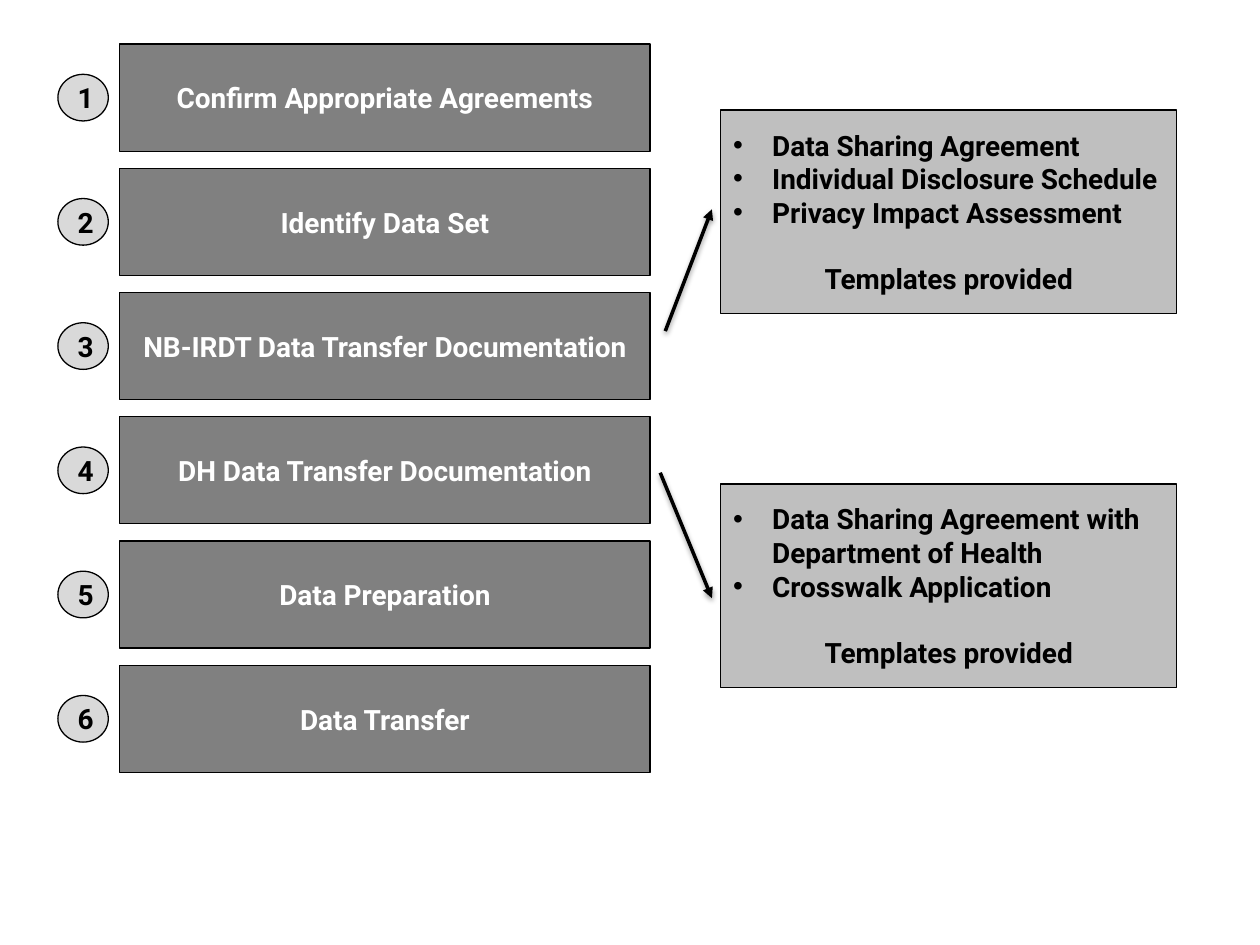
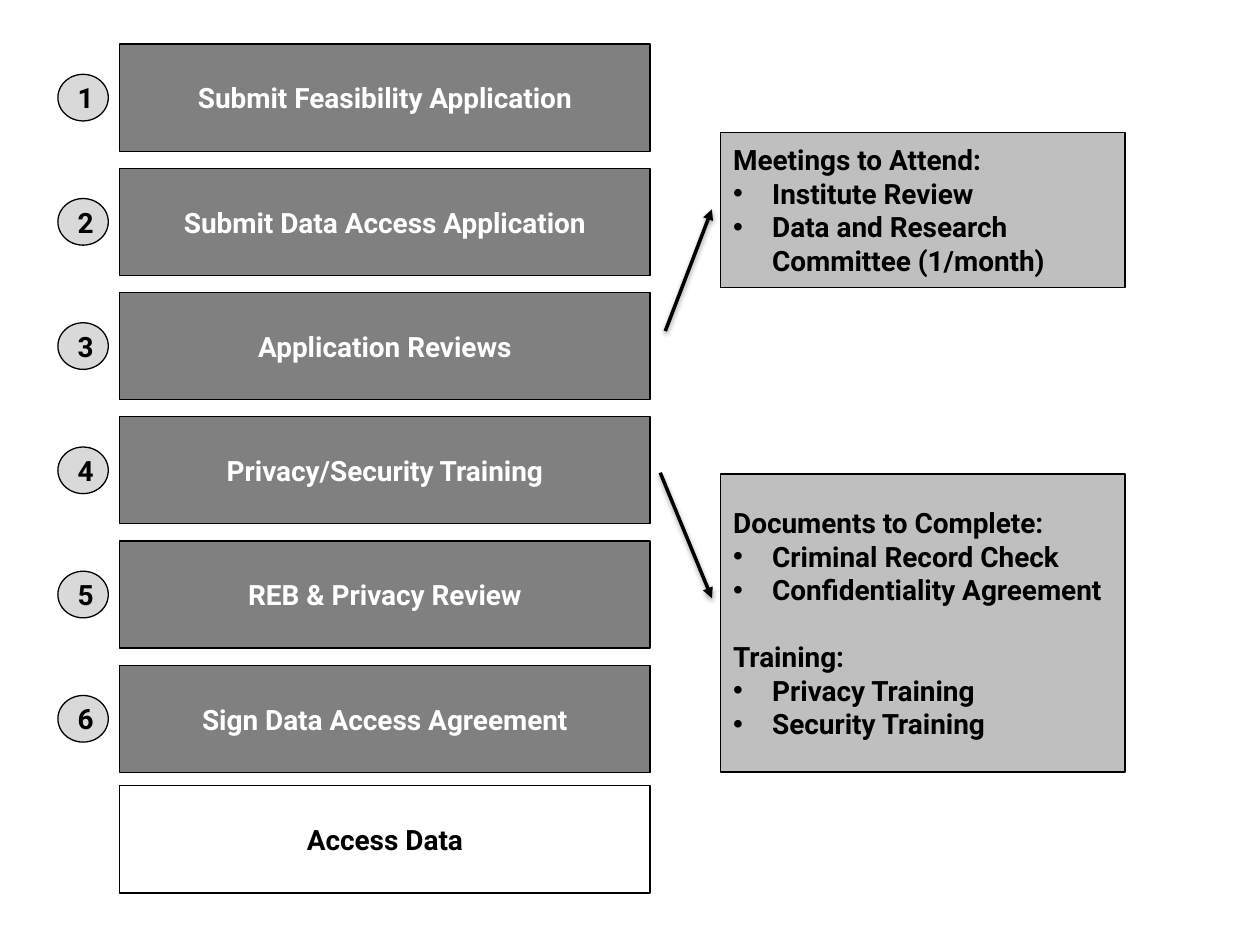
from dataclasses import dataclass

from lxml import etree
from pptx import Presentation
from pptx.dml.color import RGBColor
from pptx.enum.shapes import MSO_CONNECTOR, MSO_SHAPE
from pptx.enum.text import MSO_ANCHOR, PP_ALIGN
from pptx.oxml.ns import qn
from pptx.util import Inches, Pt

RECTANGLE, OVAL = MSO_SHAPE.RECTANGLE, MSO_SHAPE.OVAL
STRAIGHT = MSO_CONNECTOR.STRAIGHT
LEFT, CENTER = PP_ALIGN.LEFT, PP_ALIGN.CENTER
MIDDLE = MSO_ANCHOR.MIDDLE


@dataclass(frozen=True)
class Theme:
    font: str = "Roboto"
    size: int = 16
    ink: str = "000000"
    paper: str = "FFFFFF"
    step: str = "808080"
    note: str = "BFBFBF"
    badge: str = "D9D9D9"
    outline: float = 0.75
    arrow: float = 2
    blank_line: int = 19


@dataclass(frozen=True)
class Grid:
    """Columns in inches; rows are one process step apart."""
    top: float = 0.35
    pitch: float = (5.28 - 0.35) / 5
    step_height: float = 0.85
    step_left: float = 0.95
    step_width: float = 4.21
    badge_left: float = 0.46
    badge_width: float = 0.4
    badge_height: float = 0.37
    note_left: float = 5.72

    def y(self, row):
        return self.top + row * self.pitch


THEME, GRID = Theme(), Grid()
BULLET_INDENT = Inches(0.31)

# Arrows from steps 3 and 4 to their notes: (x, row) to (x, row)
ARROWS = [((5.28, 2.31), (5.65, 1.33)), ((5.24, 3.45), (5.65, 4.46))]
FINAL_ROW = 5.97

# Note lines are (style, text); a "gap" style leaves a line free above
BULLET, HEADING, GAP_HEADING, GAP_CENTER = "bullet", "heading", "gap heading", "gap center"

TRANSFER_STEPS = [
    "Confirm Appropriate Agreements",
    "Identify Data Set",
    "NB-IRDT Data Transfer Documentation",
    "DH Data Transfer Documentation",
    "Data Preparation",
    "Data Transfer",
]
AGREEMENTS = [
    (BULLET, "Data Sharing Agreement"),
    (BULLET, "Individual Disclosure Schedule"),
    (BULLET, "Privacy Impact Assessment"),
    (GAP_CENTER, "Templates provided"),
]
HEALTH_DOCUMENTS = [
    (BULLET, "Data Sharing Agreement with Department of Health"),
    (BULLET, "Crosswalk Application"),
    (GAP_CENTER, "Templates provided"),
]

ACCESS_STEPS = [
    "Submit Feasibility Application",
    "Submit Data Access Application",
    "Application Reviews",
    "Privacy/Security Training",
    "REB & Privacy Review",
    "Sign Data Access Agreement",
]
MEETINGS = [
    (HEADING, "Meetings to Attend:"),
    (BULLET, "Institute Review"),
    (BULLET, "Data and Research Committee (1/month)"),
]
TRAINING = [
    (HEADING, "Documents to Complete:"),
    (BULLET, "Criminal Record Check"),
    (BULLET, "Confidentiality Agreement"),
    (GAP_HEADING, "Training:"),
    (BULLET, "Privacy Training"),
    (BULLET, "Security Training"),
]


def rgb(value):
    return RGBColor.from_string(value)


def write(paragraph, text, color, align=CENTER):
    paragraph.text = text
    paragraph.alignment = align
    font = paragraph.font
    font.name, font.size, font.bold = THEME.font, Pt(THEME.size), True
    font.color.rgb = rgb(color)


def add_box(slide, kind, left, top, width, height, fill):
    box = slide.shapes.add_shape(kind, *map(Inches, (left, top, width, height)))
    box.shadow.inherit = False
    box.fill.solid()
    box.fill.fore_color.rgb = rgb(fill)
    box.line.color.rgb = rgb(THEME.ink)
    box.line.width = Pt(THEME.outline)
    box.text_frame.word_wrap = True
    box.text_frame.vertical_anchor = MIDDLE
    return box


def add_step(slide, row, label, fill=THEME.step, color=THEME.paper):
    step = add_box(slide, RECTANGLE, GRID.step_left, GRID.y(row),
                   GRID.step_width, GRID.step_height, fill)
    write(step.text_frame.paragraphs[0], label, color)


def add_badge(slide, row):
    top = GRID.y(row) + (GRID.step_height - GRID.badge_height) / 2
    badge = add_box(slide, OVAL, GRID.badge_left, top,
                    GRID.badge_width, GRID.badge_height, THEME.badge)
    write(badge.text_frame.paragraphs[0], str(row + 1), THEME.ink)


def make_bullet(paragraph):
    properties = paragraph._p.get_or_add_pPr()
    properties.set("marL", str(BULLET_INDENT))
    properties.set("indent", str(-BULLET_INDENT))
    etree.SubElement(properties, qn("a:buFont"), typeface="Arial")
    etree.SubElement(properties, qn("a:buChar"), char="•")
    # Default run properties come after the bullet in the schema
    defaults = properties.find(qn("a:defRPr"))
    if defaults is not None:
        properties.append(defaults)


def add_note(slide, row, rows, width, lines):
    note = add_box(slide, RECTANGLE, GRID.note_left, GRID.y(row),
                   width, rows * GRID.pitch, THEME.note)
    frame = note.text_frame
    for index, (style, text) in enumerate(lines):
        paragraph = frame.add_paragraph() if index else frame.paragraphs[0]
        write(paragraph, text, THEME.ink, CENTER if style == GAP_CENTER else LEFT)
        if style in (GAP_HEADING, GAP_CENTER):
            paragraph.space_before = Pt(THEME.blank_line)
        if style == BULLET:
            make_bullet(paragraph)


def add_arrow(slide, start, end):
    (x1, row1), (x2, row2) = start, end
    arrow = slide.shapes.add_connector(
        STRAIGHT, *map(Inches, (x1, GRID.y(row1), x2, GRID.y(row2))))
    arrow.line.color.rgb = rgb(THEME.ink)
    arrow.line.width = Pt(THEME.arrow)
    etree.SubElement(arrow.line._get_or_add_ln(), qn("a:tailEnd"), type="triangle")
    # Soft shadow straight below the line
    effects = etree.SubElement(arrow._element.spPr, qn("a:effectLst"))
    shadow = etree.SubElement(effects, qn("a:outerShdw"), blurRad=str(Pt(3.1)),
                              dist=str(Pt(1.6)), dir="5400000", rotWithShape="0")
    shade = etree.SubElement(shadow, qn("a:srgbClr"), val=THEME.ink)
    etree.SubElement(shade, qn("a:alpha"), val="38000")


def add_process(deck, steps):
    """Add a slide with the numbered steps and the two arrows."""
    slide = deck.slides.add_slide(deck.slide_layouts[6])
    for row, label in enumerate(steps):
        add_badge(slide, row)
        add_step(slide, row, label)
    for start, end in ARROWS:
        add_arrow(slide, start, end)
    return slide


def main():
    deck = Presentation()
    deck.slide_width, deck.slide_height = Inches(10), Inches(7.5)

    # Data transfer process
    transfer = add_process(deck, TRANSFER_STEPS)
    add_note(transfer, 0.53, 1.64, 3.62, AGREEMENTS)
    add_note(transfer, 3.54, 1.64, 3.62, HEALTH_DOCUMENTS)

    # Data access process
    access = add_process(deck, ACCESS_STEPS)
    add_note(access, 0.71, 1.25, 3.21, MEETINGS)
    add_note(access, 3.46, 2.4, 3.21, TRAINING)
    add_step(access, FINAL_ROW, "Access Data", THEME.paper, THEME.ink)

    deck.save("out.pptx")


if __name__ == "__main__":
    main()
